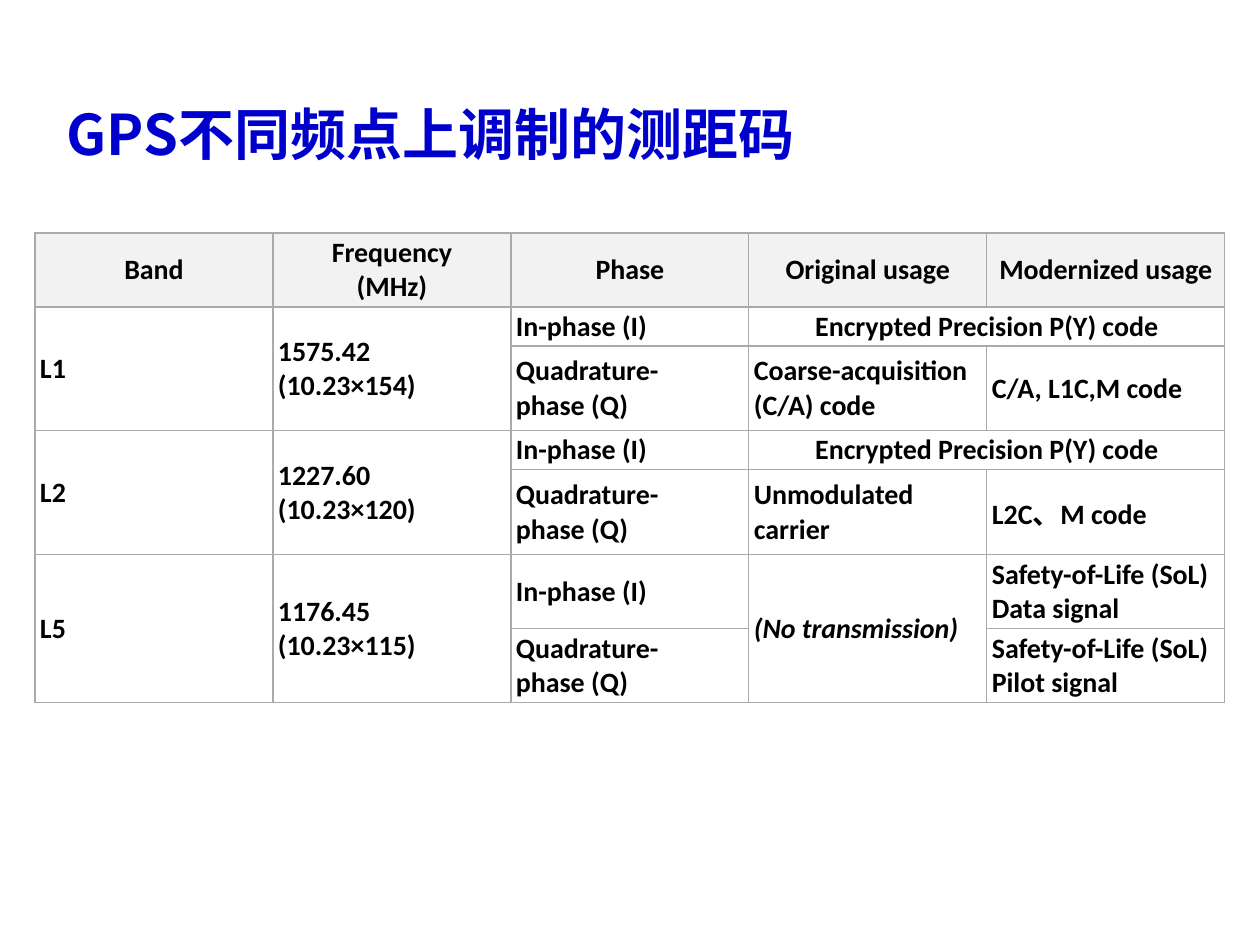
from lxml import etree
from pptx import Presentation
from pptx import util as u
from pptx.dml.color import RGBColor
from pptx.enum import text
from pptx.oxml.ns import qn

SCALE = 914400 // 126  # EMU per px
BORDER, HEADER_FILL = "AAAAAA", "F2F2F2"
ROW_HEIGHTS = [74, 39, 85, 39, 85, 74, 74]
IN_PHASE, QUADRATURE = "In-phase (I)", "Quadrature-\nphase (Q)"
PRECISION = "Encrypted Precision P(Y) code"
ROWS = [
    ["Band", "Frequency\n(MHz)", "Phase", "Original usage", "Modernized usage"],
    ["L1", "1575.42\n(10.23×154)", IN_PHASE, PRECISION, None],
    [None, None, QUADRATURE, "Coarse-acquisition (C/A) code", "C/A, L1C,M code"],
    ["L2", "1227.60\n(10.23×120)", IN_PHASE, PRECISION, None],
    [None, None, QUADRATURE, "Unmodulated carrier", "L2C、M code"],
    ["L5", "1176.45\n(10.23×115)", IN_PHASE, "(No transmission)",
     "Safety-of-Life (SoL) Data signal"],
    [None, None, QUADRATURE, None, "Safety-of-Life (SoL) Pilot signal"],
]


def px(n):
    return u.Emu(n * SCALE)


def color(value):
    return RGBColor.from_string(value)


def write(tf, content, size=16, font="Calibri", fill="000000", italic=False,
          align=text.PP_ALIGN.LEFT):
    p = tf.paragraphs[0]
    p.text = content  # a newline becomes a line break
    p.alignment = align
    for r in p.runs:
        f = r.font
        f.size, f.name, f.bold, f.italic = u.Pt(size), font, True, italic
        f.color.rgb = color(fill)
        if font != "Calibri":
            latin = r._r.get_or_add_rPr().find(qn("a:latin"))
            ea = etree.Element(qn("a:ea"), typeface=font)
            latin.addnext(ea)


def set_borders(cell):
    tcPr = cell._tc.get_or_add_tcPr()
    for i, side in enumerate(("lnL", "lnR", "lnT", "lnB")):
        ln = etree.Element(qn(f"a:{side}"), w=str(u.Pt(0.75)))
        fill = etree.SubElement(ln, qn("a:solidFill"))
        etree.SubElement(fill, qn("a:srgbClr"), val=BORDER)
        tcPr.insert(i, ln)


def add_title(s, x, y, w, h):
    tf = s.shapes.add_textbox(px(x), px(y), px(w), px(h)).text_frame
    tf.word_wrap = True
    tf.vertical_anchor = text.MSO_ANCHOR.MIDDLE
    write(tf, "GPS不同频点上调制的测距码", size=32, font="Noto Sans CJK SC",
          fill="0000CC")


def add_signal_table(s, x, y, w):
    cols = len(ROWS[0])
    table = s.shapes.add_table(len(ROWS), cols, px(x), px(y), px(w),
                               px(sum(ROW_HEIGHTS))).table
    table.first_row = table.horz_banding = False
    for column in table.columns:
        column.width = px(w // cols)
    for row, height in zip(table.rows, ROW_HEIGHTS):
        row.height = px(height)

    # Cell text, fill and borders
    for i, row in enumerate(ROWS):
        for j, content in enumerate(row):
            cell = table.cell(i, j)
            cell.margin_left = cell.margin_right = px(5)
            cell.margin_top = cell.margin_bottom = px(2)
            cell.vertical_anchor = text.MSO_ANCHOR.MIDDLE
            if i == 0:
                cell.fill.solid()
                cell.fill.fore_color.rgb = color(HEADER_FILL)
            else:
                cell.fill.background()
            set_borders(cell)
            centred = i == 0 or content == PRECISION
            write(cell.text_frame, content or "",
                  italic=content == "(No transmission)",
                  align=text.PP_ALIGN.CENTER if centred else text.PP_ALIGN.LEFT)

    # Each band covers two rows; its precision code covers both usages
    for i in (1, 3, 5):
        for j in (0, 1):
            table.cell(i, j).merge(table.cell(i + 1, j))
        end = (i, 4) if ROWS[i][3] == PRECISION else (i + 1, 3)
        table.cell(i, 3).merge(table.cell(*end))


def main():
    prs = Presentation()
    prs.slide_width, prs.slide_height = u.Inches(10), u.Inches(7.5)
    s = prs.slides.add_slide(prs.slide_layouts[6])
    add_signal_table(s, 35, 233, 1190)
    add_title(s, 54, 93, 762, 81)
    prs.save("out.pptx")


if __name__ == "__main__":
    main()
